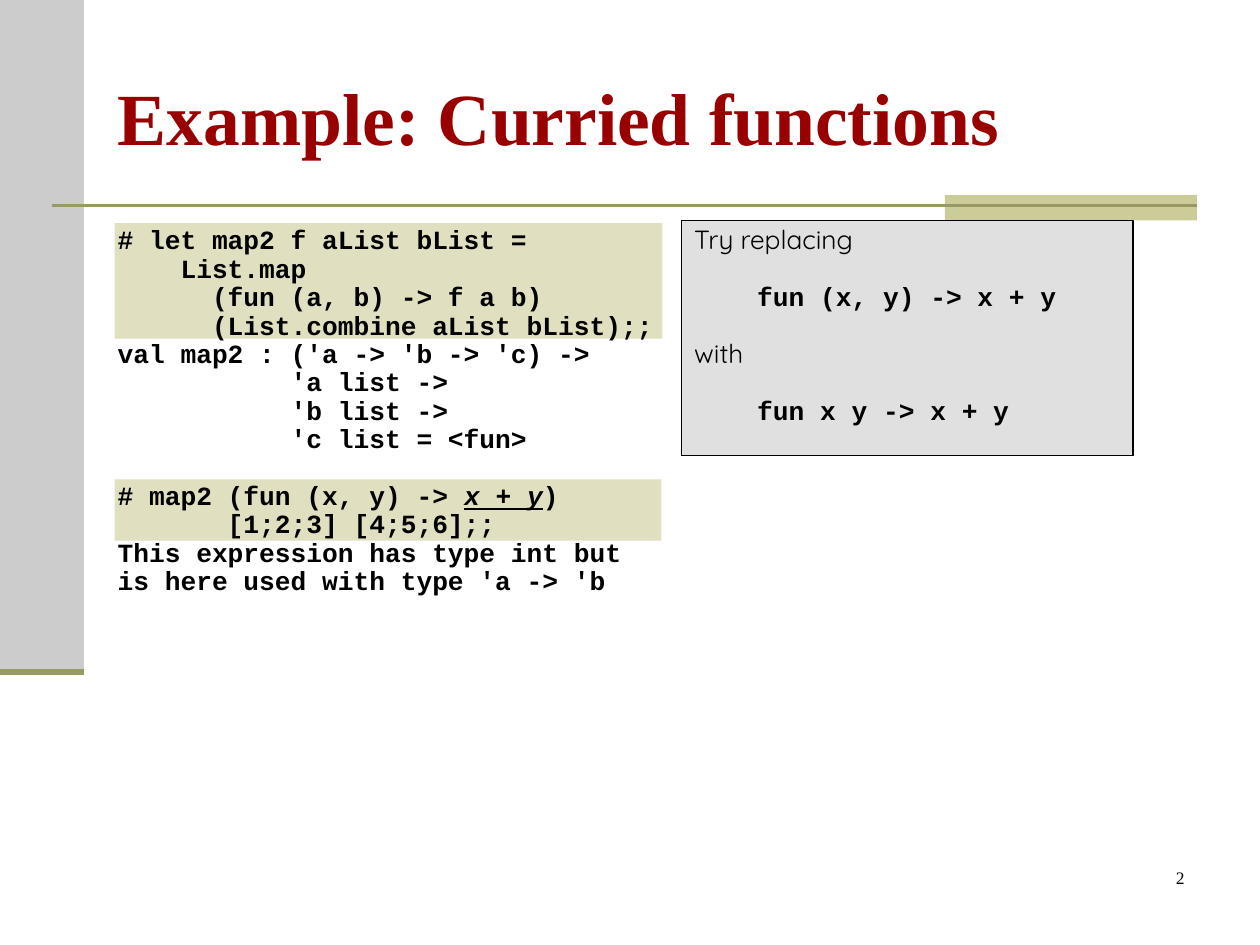
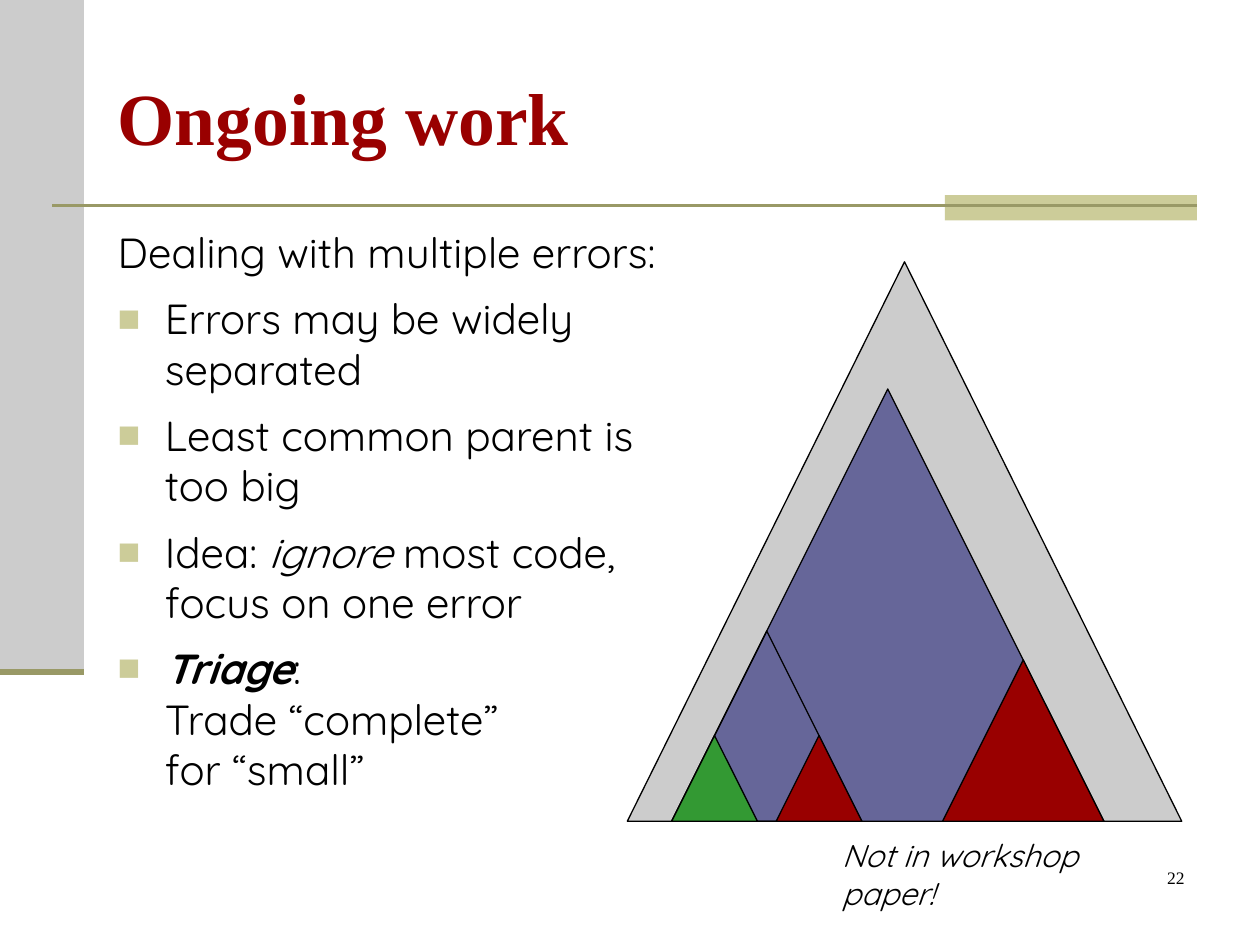
from lxml import etree
from pptx import Presentation
from pptx.dml.color import RGBColor
from pptx.enum.shapes import MSO_CONNECTOR, MSO_SHAPE
from pptx.enum.text import MSO_ANCHOR, MSO_AUTO_SIZE, PP_ALIGN
from pptx.oxml.ns import qn
from pptx.util import Pt

RECT = MSO_SHAPE.RECTANGLE
PEAK = MSO_SHAPE.ISOSCELES_TRIANGLE
LINE = MSO_CONNECTOR.STRAIGHT
TOP, MIDDLE = MSO_ANCHOR.TOP, MSO_ANCHOR.MIDDLE
LEFT, RIGHT = PP_ALIGN.LEFT, PP_ALIGN.RIGHT
FIXED = MSO_AUTO_SIZE.NONE

GREY, KHAKI, OLIVE = "CCCCCC", "CCCC99", "999966"
RED, BLUE, GREEN, BLACK = "990000", "666699", "339933", "000000"
SERIF, SANS, MONO = "Times New Roman", "Quicksand", "Courier New"
PITCH = 16.2  # line pitch of code


def tint(fill, code):
    """Make the fill of a shape, line or font solid."""
    fill.solid()
    fill.fore_color.rgb = RGBColor.from_string(code)


def write(para, text, size, face, code=BLACK, bold=False, slant=False, under=False):
    """Add text as runs, with a line break at each newline."""
    for i, piece in enumerate(text.split("\n")):
        if i:
            para.add_line_break()
        if piece:
            run = para.add_run()
            run.text = piece
            font = run.font
            font.name, font.size = face, Pt(size)
            font.bold, font.italic, font.underline = bold, slant, under
            tint(font.fill, code)


prs = Presentation()
prs.slide_width, prs.slide_height = Pt(720), Pt(540)

# Layout, title, number, code highlights, body boxes
pages = [
    (3, "Example: Curried functions", "2",
     [(65.5, 127.5, 313, 66), (65.5, 274, 312.5, 35)],
     [(60, 126, 324, 356.4), (389.5, 126, 258, 134.5)]),
    (1, "Ongoing work", "22", [], [(60, 126, 340, 356.4)]),
]
slides = []
for layout, head, number, marks, boxes in pages:
    slide = prs.slides.add_slide(prs.slide_layouts[layout])
    slides.append(slide)
    shapes = slide.shapes

    # Side band, corner bar and code highlights
    bands = [(0, 0, 48, 384, GREY), (540, 111.5, 144, 14.5, KHAKI)]
    bands += [(*mark, KHAKI) for mark in marks]
    for i, (x, y, w, h, code) in enumerate(bands):
        band = shapes.add_shape(RECT, Pt(x), Pt(y), Pt(w), Pt(h))
        band.shadow.inherit = False
        band.line.fill.background()
        tint(band.fill, code)
        if i > 1:
            color = band.element.spPr.find(".//" + qn("a:srgbClr"))
            etree.SubElement(color, qn("a:alpha"), val="60000")

    # Rules
    for x, end, y, width in [(30, 684, 117.5, 1.5), (0, 48, 384, 3.5)]:
        rule = shapes.add_connector(LINE, Pt(x), Pt(y), Pt(end), Pt(y))
        tint(rule.line.fill, OLIVE)
        rule.line.width = Pt(width)
        etree.SubElement(rule.element.spPr, qn("a:effectLst"))

    # Title and bodies, placed above the bands
    spots = [(60, 21.6, 624, 90)] + boxes
    for holder, (x, y, w, h) in zip(list(slide.placeholders), spots):
        holder.left, holder.top = Pt(x), Pt(y)
        holder.width, holder.height = Pt(w), Pt(h)
        frame = holder.text_frame
        frame.word_wrap, frame.auto_size = True, FIXED
        frame.vertical_anchor = MIDDLE if holder == shapes.title else TOP
        holder.element.getparent().append(holder.element)
    para = shapes.title.text_frame.paragraphs[0]
    para.alignment = LEFT
    write(para, head, 42, SERIF, RED, bold=True)

    # Slide number
    foot = shapes.add_textbox(Pt(534), Pt(492), Pt(150), Pt(36))
    foot.text_frame.word_wrap = True
    para = foot.text_frame.paragraphs[0]
    para.alignment = RIGHT
    write(para, number, 10, SERIF)

# Slide 1: code on the left, hint on the right
code, hint = list(slides[0].placeholders)[1:]
tint(hint.fill, GREY)
color = hint.element.spPr.find(".//" + qn("a:srgbClr"))
etree.SubElement(color, qn("a:alpha"), val="60000")
tint(hint.line.fill, BLACK)
hint.line.width = Pt(0.75)

# Each paragraph: indent, space before, face, runs with emphasis
listing = [
    (0, 0, MONO, [("# let map2 f aList bList =\n"
                   "    List.map\n"
                   "      (fun (a, b) -> f a b)\n"
                   "      (List.combine aList bList);;", False)]),
    (0, 0, MONO, [("val map2 : ('a -> 'b -> 'c) ->\n"
                   "           'a list ->\n"
                   "           'b list ->\n"
                   "           'c list = <fun>", False)]),
    (0, PITCH, MONO, [("# map2 (fun (x, y) -> ", False), ("x + y", True),
                      (")\n       [1;2;3] [4;5;6];;", False)]),
    (0, 0, MONO, [("This expression has type int but is here used "
                   "with type 'a -> 'b", False)]),
]
advice = [
    (0, 0, SANS, [("Try replacing", False)]),
    (36, PITCH, MONO, [("fun (x, y) -> x + y", False)]),
    (0, PITCH, SANS, [("with", False)]),
    (36, PITCH, MONO, [("fun x y -> x + y", False)]),
]
for holder, paras in [(code, listing), (hint, advice)]:
    frame = holder.text_frame
    for i, (indent, gap, face, runs) in enumerate(paras):
        para = frame.add_paragraph() if i else frame.paragraphs[0]
        props = para._p.get_or_add_pPr()
        props.set("marL", str(Pt(indent)))
        props.set("indent", "0")
        etree.SubElement(props, qn("a:buNone"))
        para.line_spacing = Pt(PITCH)
        para.space_before = Pt(gap)
        for text, strong in runs:
            write(para, text, 15, face, bold=face == MONO, slant=strong, under=strong)

# Slide 2: list of points, runs with bold and italic
slide = slides[1]
points = [
    [("Dealing with multiple errors:", False, False)],
    [("Errors may be widely separated", False, False)],
    [("Least common parent is too big", False, False)],
    [("Idea: ", False, False), ("ignore", False, True),
     (" most code, focus on one error", False, False)],
    [("Triage", True, True),
     (": \nTrade “complete”\nfor “small”", False, False)],
]
frame = slide.placeholders[1].text_frame
for i, runs in enumerate(points):
    para = frame.add_paragraph() if i else frame.paragraphs[0]
    props = para._p.get_or_add_pPr()
    props.set("marL", str(Pt(27)))
    props.set("indent", str(-Pt(27)))
    if i:
        color = etree.SubElement(props, qn("a:buClr"))
        etree.SubElement(color, qn("a:srgbClr"), val=KHAKI)
        etree.SubElement(props, qn("a:buSzPct"), val="90000")
        etree.SubElement(props, qn("a:buChar"), char="■")
    else:
        etree.SubElement(props, qn("a:buNone"))
    para.line_spacing = 1.0
    para.space_before = Pt(9 if i else 0)
    for text, bold, slant in runs:
        write(para, text, 24, SANS, bold=bold, slant=slant)

# Note below the triangles
note = slide.shapes.add_textbox(Pt(474), Pt(474), Pt(202), Pt(29))
note.text_frame.word_wrap = True
write(note.text_frame.paragraphs[0], "Not in workshop paper!", 18, SANS, slant=True)

# Nested triangles on one base line: left, width, height, fill
BASE, INNER = 469.3, 383.8
WIDE, MID, SMALL, ERROR = 247, 108.7, 49, 92.2
peaks = [
    (358.5, 316.8, 319.7, GREY),
    (INNER, WIDE, WIDE, BLUE),
    (INNER, MID, MID, None),
    (INNER, SMALL, SMALL, GREEN),
    (INNER + WIDE - ERROR, ERROR, ERROR, RED),
    (INNER + MID - SMALL, SMALL, SMALL, RED),
]
for x, w, h, code in peaks:
    peak = slide.shapes.add_shape(PEAK, Pt(x), Pt(BASE - h), Pt(w), Pt(h))
    peak.shadow.inherit = False
    if code:
        tint(peak.fill, code)
    else:
        peak.fill.background()
    tint(peak.line.fill, BLACK)
    peak.line.width = Pt(0.75)

prs.save("out.pptx")
